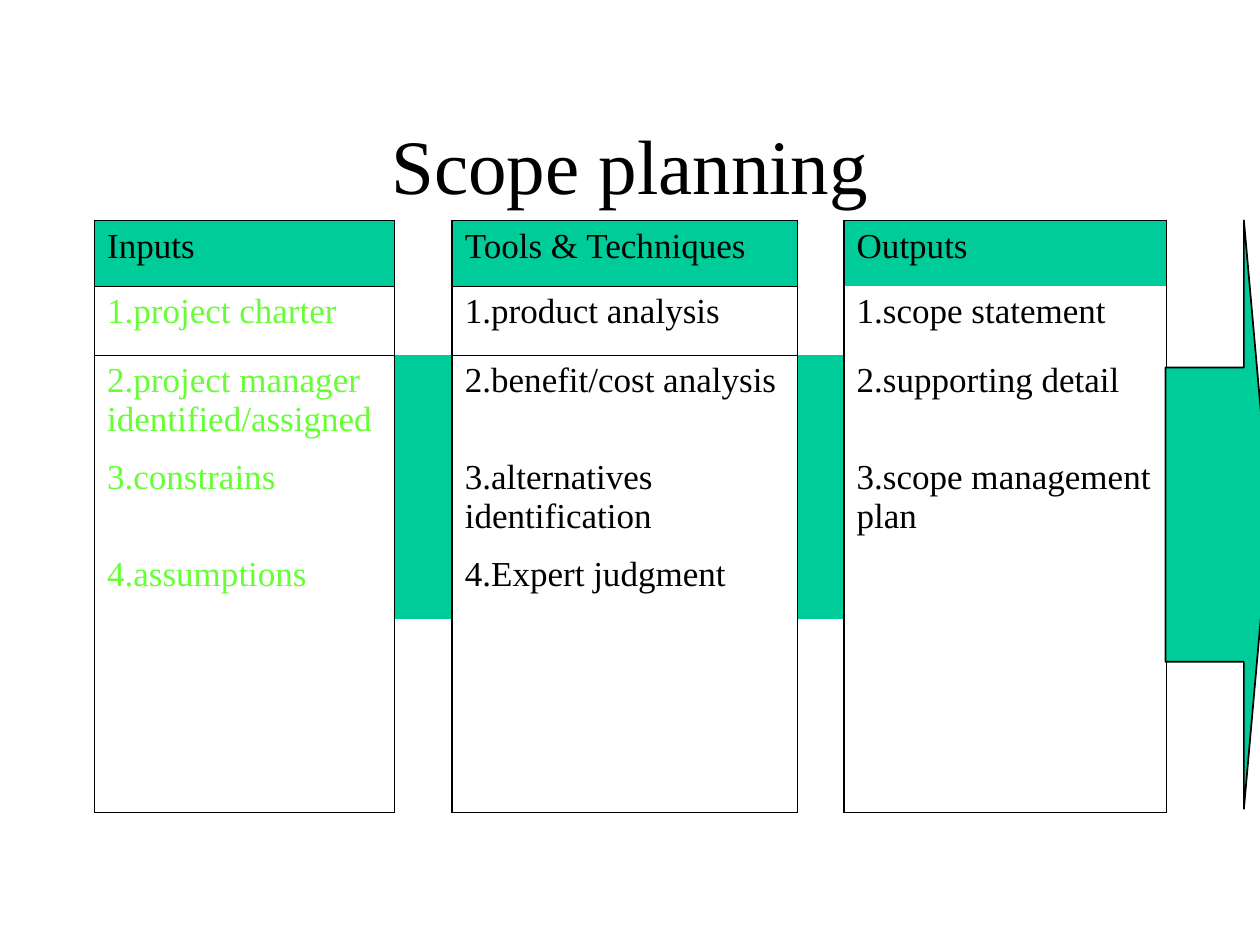
import pptx
import pptx.dml.color
import pptx.enum.shapes
import pptx.enum.text
import pptx.oxml.ns
import pptx.util
from lxml import etree

SCALE = 9144  # EMU in one px, 100 px to the inch
HEX = {"ink": "000000", "teal": "00CC99", "lime": "66FF33"}
PLAIN = "{2D5ABB26-0587-4C30-8999-92F81FD0307C}"  # no style, no grid

WIDTHS = [238, 46, 274, 37, 256]
HEIGHTS = [52, 55, 77, 77, 55, 51, 51, 52]
LISTS = [
    ("lime", ["Inputs", "1.project charter",
              "2.project manager identified/assigned",
              "3.constrains", "4.assumptions"]),
    ("ink", ["Tools & Techniques", "1.product analysis",
             "2.benefit/cost analysis",
             "3.alternatives identification", "4.Expert judgment"]),
    ("ink", ["Outputs", "1.scope statement", "2.supporting detail",
             "3.scope management plan"]),
]
BAND = range(2, 5)  # rows in which the gaps between lists are filled


def px(num):
    return pptx.util.Emu(num * SCALE)


def rgb(name):
    return pptx.dml.color.RGBColor.from_string(HEX[name])


class Deck:
    """Holds the style and the current slide."""

    base = {"name": "Times New Roman", "size": pptx.util.Pt(20)}

    def __init__(self, wide, high):
        self.prs = pptx.Presentation()
        self.prs.slide_width, self.prs.slide_height = px(wide), px(high)
        self.slide = self.prs.slides.add_slide(self.prs.slide_layouts[6])

    def label(self, frame, text, tint="ink", **form):
        para = frame.paragraphs[0]
        run = para.add_run()
        run.text = text
        for key, val in {**self.base, **form}.items():
            setattr(run.font, key, val)
        run.font.color.rgb = rgb(tint)
        return para

    def title(self, text, *box):
        frame = self.slide.shapes.add_textbox(*map(px, box)).text_frame
        frame.word_wrap = True
        frame.vertical_anchor = pptx.enum.text.MSO_ANCHOR.MIDDLE
        para = self.label(frame, text, size=pptx.util.Pt(44))
        para.alignment = pptx.enum.text.PP_ALIGN.CENTER

    def table(self, left, top, widths, heights):
        shape = self.slide.shapes.add_table(
            len(heights), len(widths), px(left), px(top),
            px(sum(widths)), px(sum(heights)))
        grid = shape.table
        grid.first_row = grid.horz_banding = False
        style = grid._tbl.tblPr.find(pptx.oxml.ns.qn("a:tableStyleId"))
        style.text = PLAIN
        for col, wide in zip(grid.columns, widths):
            col.width = px(wide)
        for row, high in zip(grid.rows, heights):
            row.height = px(high)
        return grid

    def cell(self, cell, edges, fill=None, text="", tint="ink"):
        """Style one cell; edges maps a side (L, R, T, B) to points."""
        prop = cell._tc.get_or_add_tcPr()
        for side in "LRTB":
            if side in edges:
                self.edge(prop, side, edges[side])
        if fill:
            cell.fill.solid()
            cell.fill.fore_color.rgb = rgb(fill)
        else:
            cell.fill.background()
        if text:
            self.label(cell.text_frame, text, tint)

    def edge(self, prop, side, size):
        qn = pptx.oxml.ns.qn
        line = etree.SubElement(prop, qn("a:ln" + side),
                                w=str(int(pptx.util.Pt(size))))
        fill = etree.SubElement(line, qn("a:solidFill"))
        etree.SubElement(fill, qn("a:srgbClr"), val=HEX["ink"])

    def arrow(self, *box):
        kind = pptx.enum.shapes.MSO_SHAPE.RIGHT_ARROW
        shape = self.slide.shapes.add_shape(kind, *map(px, box))
        shape.shadow.inherit = False
        shape.adjustments[0], shape.adjustments[1] = 0.5, 0.25
        shape.fill.solid()
        shape.fill.fore_color.rgb = rgb("teal")
        shape.line.color.rgb = rgb("ink")
        shape.line.width = pptx.util.Pt(1)


def main():
    deck = Deck(1000, 750)
    deck.title("Scope planning", 75, 67, 850, 125)

    grid = deck.table(75, 175, WIDTHS, HEIGHTS)
    last = len(HEIGHTS) - 1
    for row in range(len(HEIGHTS)):
        for col in range(len(WIDTHS)):
            edges = {"L": 1.08, "R": 1.08}
            if col % 2:
                fill = "teal" if row in BAND else None
                deck.cell(grid.cell(row, col), edges, fill)
                continue
            tint, items = LISTS[col // 2]
            if row == 0:
                edges["T"] = 1.08
                if col < 4:
                    edges["B"] = 0.45
            elif row == 1 and col < 4:
                edges["T"] = 0.45
            elif row == last:
                edges["B"] = 1.08
            deck.cell(grid.cell(row, col), edges,
                      None if row else "teal",
                      items[row] if row < len(items) else "",
                      tint if row else "ink")

    deck.arrow(925, 175, 83, 467)
    deck.prs.save("out.pptx")


if __name__ == "__main__":
    main()
